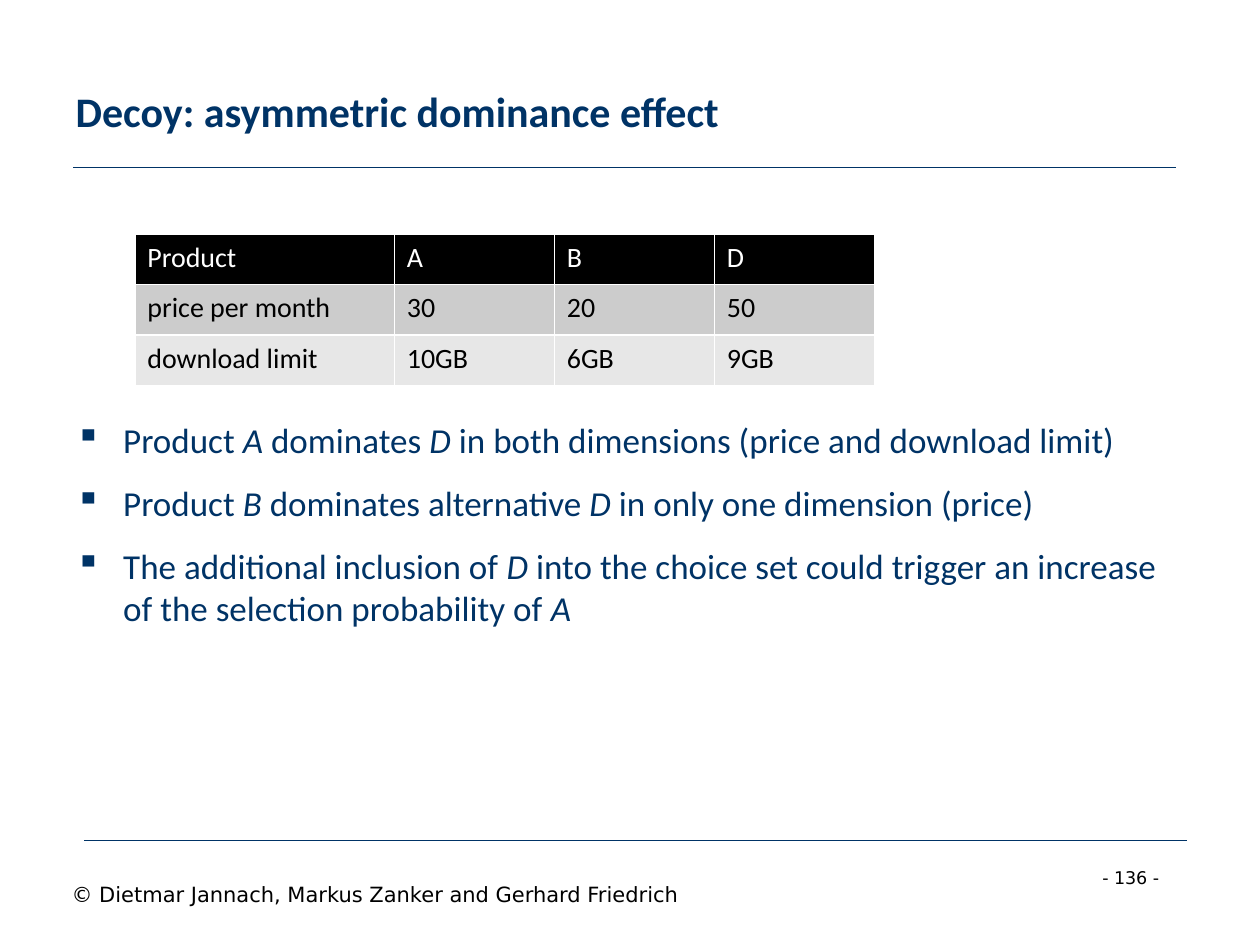
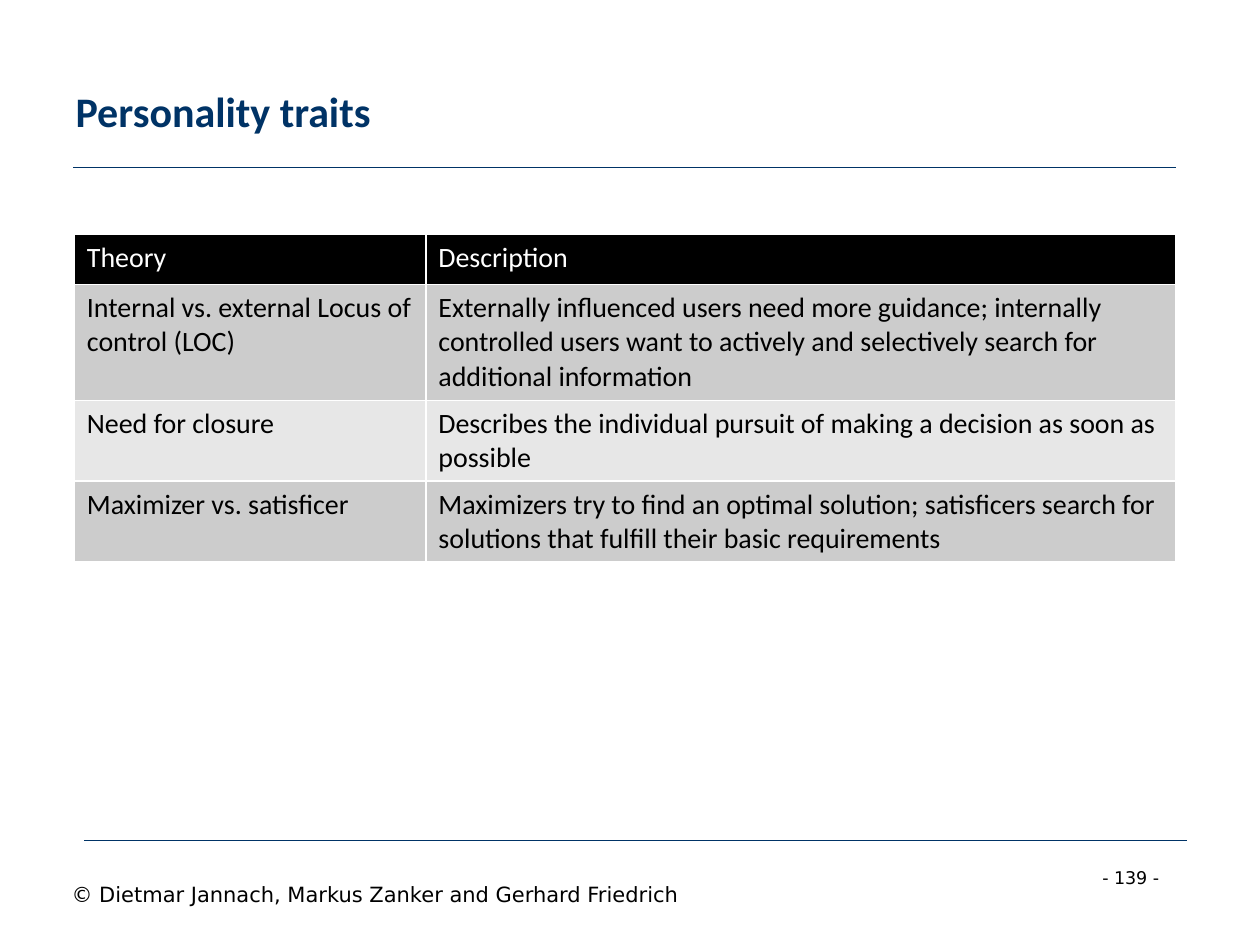
from dataclasses import dataclass

from lxml.etree import SubElement
from pptx import Presentation
from pptx.dml.color import RGBColor as RGB
from pptx.enum.shapes import MSO_CONNECTOR as Connector
from pptx.enum.text import MSO_ANCHOR as Anchor, PP_ALIGN as Align
from pptx.oxml.ns import qn
from pptx.slide import Slide
from pptx.text.text import TextFrame, _Paragraph as Paragraph
from pptx.util import Inches, Pt


@dataclass(frozen=True)
class Theme:
    navy: str = "003366"
    black: str = "000000"
    white: str = "FFFFFF"
    bands: tuple[str, str] = ("CCCCCC", "E7E7E7")
    font: str = "Calibri"
    footer_font: str = "DejaVu Sans"
    title_size: int = 24
    body_size: int = 20
    table_size: int = 16
    footer_size: int = 12
    number_size: int = 10
    rule_width: float = 0.75
    border_width: float = 1


@dataclass(frozen=True)
class Rule:
    left: float
    top: float
    width: float = 8.75


@dataclass(frozen=True)
class TableSpec:
    left: float
    top: float
    col_widths: list[float]
    row_heights: list[float]
    rows: list[list[str]]


THEME = Theme()
RULES = [Rule(0.58, 1.33), Rule(0.67, 6.67)]
COPYRIGHT = "© Dietmar Jannach, Markus Zanker and Gerhard Friedrich"

PRODUCTS = TableSpec(1.07, 1.86, [2.06] + [1.27] * 3, [0.4] * 3, [
    ["Product", "A", "B", "D"],
    ["price per month", "30", "20", "50"],
    ["download limit", "10GB", "6GB", "9GB"],
])
DECOY_POINTS = [
    "Product *A *dominates *D *in both dimensions (price and download limit)",
    "Product *B *dominates alternative *D *in only one dimension (price)",
    "The additional inclusion of *D *into the choice set could trigger an "
    "increase of the selection probability of *A",
]
TRAITS = TableSpec(0.59, 1.86, [2.79, 5.95], [0.4, 0.92, 0.64, 0.64], [
    ["Theory", "Description"],
    ["Internal vs. external Locus of control (LOC)",
     "Externally influenced users need more guidance; internally controlled "
     "users want to actively and selectively search for additional information"],
    ["Need for closure",
     "Describes the individual pursuit of making a decision as soon as possible"],
    ["Maximizer vs. satisficer",
     "Maximizers try to find an optimal solution; satisficers search for "
     "solutions that fulfill their basic requirements"],
])


def write(p: Paragraph, text: str, *, size: int, color: str,
          font: str = THEME.font, bold: bool = False) -> None:
    p.alignment = Align.LEFT
    for i, part in enumerate(text.split("*")):
        if part:
            r = p.add_run()
            r.text = part
            r.font.name, r.font.size = font, Pt(size)
            r.font.bold, r.font.italic = bold, i % 2 == 1
            r.font.color.rgb = RGB.from_string(color)


def add_box(s: Slide, left: float, top: float, width: float, height: float,
            wrap: bool = True) -> TextFrame:
    tf = s.shapes.add_textbox(*map(Inches, (left, top, width, height))).text_frame
    tf.word_wrap = wrap
    return tf


def add_rule(s: Slide, rule: Rule) -> None:
    line = s.shapes.add_connector(
        Connector.STRAIGHT, Inches(rule.left), Inches(rule.top),
        Inches(rule.left + rule.width), Inches(rule.top))
    line.line.color.rgb = RGB.from_string(THEME.navy)
    line.line.width = Pt(THEME.rule_width)
    SubElement(line._element.spPr, qn("a:effectLst"))


def add_slide(prs: Presentation, title: str, number: int) -> Slide:
    s = prs.slides.add_slide(prs.slide_layouts[5])
    sp = s.shapes.title
    sp.left, sp.top, sp.width, sp.height = map(Inches, (0.5, 0.25, 9, 1.25))
    sp.text_frame.vertical_anchor = Anchor.MIDDLE
    write(sp.text_frame.paragraphs[0], title, size=THEME.title_size,
          color=THEME.navy, bold=True)
    for rule in RULES:
        add_rule(s, rule)
    write(add_box(s, 8.65, 6.83, 0.76, 0.27, wrap=False).paragraphs[0],
          f"- {number} -", size=THEME.number_size, color=THEME.black,
          font=THEME.footer_font)
    write(add_box(s, 0.47, 6.95, 6.34, 0.3).paragraphs[0], COPYRIGHT,
          size=THEME.footer_size, color=THEME.black, font=THEME.footer_font)
    return s


def add_bullets(s: Slide, points: list[str]) -> None:
    tf = add_box(s, 0.5, 3.27, 9, 3.4)
    for i, point in enumerate(points):
        p = tf.add_paragraph() if i else tf.paragraphs[0]
        pPr = p._p.get_or_add_pPr()
        pPr.set("marL", str(Inches(0.38)))
        pPr.set("indent", str(-Inches(0.38)))
        SubElement(pPr, qn("a:buChar"), char="▪")
        p.space_before = Pt(12 if i else 0)
        write(p, point, size=THEME.body_size, color=THEME.navy)


def add_table(s: Slide, spec: TableSpec) -> None:
    table = s.shapes.add_table(
        len(spec.rows), len(spec.col_widths), Inches(spec.left), Inches(spec.top),
        Inches(sum(spec.col_widths)), Inches(sum(spec.row_heights))).table
    for col, width in zip(table.columns, spec.col_widths):
        col.width = Inches(width)
    for i, (row, height, texts) in enumerate(
            zip(table.rows, spec.row_heights, spec.rows)):
        row.height = Inches(height)
        fill = THEME.bands[(i - 1) % 2] if i else THEME.black
        color = THEME.black if i else THEME.white
        for cell, text in zip(row.cells, texts):
            tcPr = cell._tc.get_or_add_tcPr()
            for side in "LRTB":
                ln = SubElement(tcPr, qn(f"a:ln{side}"),
                                w=str(Pt(THEME.border_width)))
                SubElement(SubElement(ln, qn("a:solidFill")),
                           qn("a:srgbClr"), val=THEME.white)
            cell.fill.solid()
            cell.fill.fore_color.rgb = RGB.from_string(fill)
            write(cell.text_frame.paragraphs[0], text,
                  size=THEME.table_size, color=color)


def main() -> None:
    prs = Presentation()
    prs.slide_width, prs.slide_height = Inches(10), Inches(7.5)

    s = add_slide(prs, "Decoy: asymmetric dominance effect", 136)
    add_bullets(s, DECOY_POINTS)
    add_table(s, PRODUCTS)

    s = add_slide(prs, "Personality traits", 139)
    add_table(s, TRAITS)

    prs.save("out.pptx")


if __name__ == "__main__":
    main()
